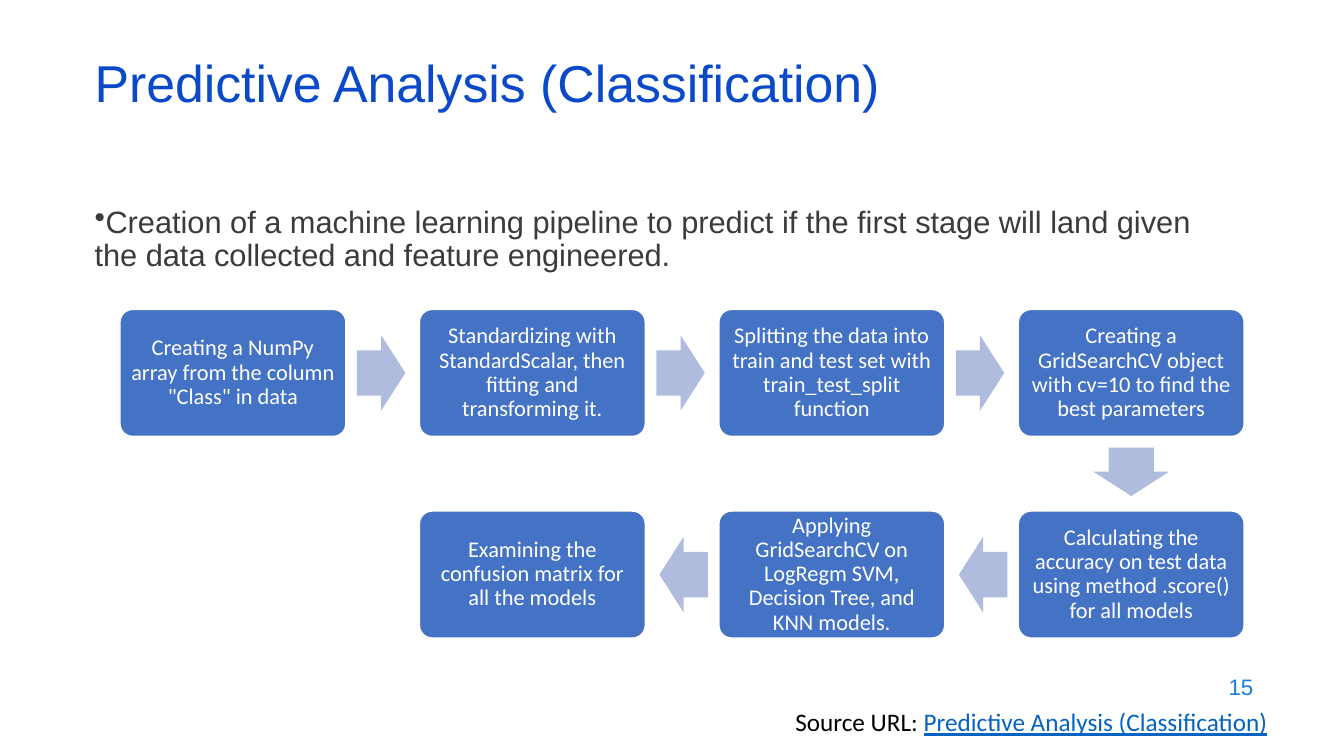
"""Build the predictive analysis slide with its seven-step process."""
from lxml import etree
from pptx import Presentation
from pptx.dml.color import RGBColor
from pptx.enum import shapes, text
from pptx.oxml import ns
from pptx.util import Inches, Pt

TITLE_BLUE = RGBColor(0x0B, 0x49, 0xCB)
NUMBER_BLUE = RGBColor(0x1C, 0x7D, 0xDB)
LINK_BLUE = RGBColor(0x05, 0x63, 0xC1)
STEP_BLUE = RGBColor(0x44, 0x72, 0xC4)
ARROW_BLUE = RGBColor(0xB0, 0xBC, 0xDE)
BODY_GREY = RGBColor(0x3B, 0x3B, 0x3B)
BLACK = RGBColor(0, 0, 0)
WHITE = RGBColor(0xFF, 0xFF, 0xFF)

STEP_WIDTH, STEP_HEIGHT = 2.24, 1.26
ARROW_WIDTH, ARROW_HEIGHT = 0.48, 0.75
FIRST_LEFT, FIRST_TOP = 1.19, 3.07
COLUMN_PITCH, ROW_PITCH = 2.97, 2.0
ARROW_OFFSETS = {0: (1.47, 0), 90: (0, 0.98), 180: (-1.47, 0)}

STEPS = [
    (0, 0, 'Creating a NumPy array from the column "Class" in data', 0),
    (1, 0, "Standardizing with StandardScalar, then fitting and transforming it.", 0),
    (2, 0, "Splitting the data into train and test set with train_test_split function", 0),
    (3, 0, "Creating a GridSearchCV object with cv=10 to find the best parameters", 90),
    (3, 1, "Calculating the accuracy on test data using method .score() for all models", 180),
    (2, 1, "Applying GridSearchCV on LogRegm SVM, Decision Tree, and KNN models.", 180),
    (1, 1, "Examining the confusion matrix for all the models", None),
]


def add_span(para, words, *, size, color, font="Arial", underline=None):
    """Append a formatted run to a paragraph."""
    span = para.add_run()
    span.text = words
    span.font.name = font
    span.font.size = Pt(size)
    span.font.color.rgb = color
    span.font.underline = underline


def add_text(page, words, left, top, width, height, *, anchor=text.MSO_ANCHOR.TOP,
             align=text.PP_ALIGN.LEFT, spacing=1.0, bullet=None, **style):
    """Add a wrapping text box and return its paragraph."""
    box = page.shapes.add_textbox(Inches(left), Inches(top), Inches(width), Inches(height))
    box.text_frame.word_wrap = True
    box.text_frame.vertical_anchor = anchor
    para = box.text_frame.paragraphs[0]
    para.alignment = align
    para.line_spacing = spacing
    if bullet:
        etree.SubElement(para._p.get_or_add_pPr(), ns.qn("a:buChar"), char=bullet)
    add_span(para, words, **style)
    return para


def add_block(page, kind, center_x, center_y, width, height, fill):
    """Add a flat preset shape around a centre point."""
    block = page.shapes.add_shape(kind, Inches(center_x - width / 2), Inches(center_y - height / 2),
                                  Inches(width), Inches(height))
    block.shadow.inherit = False
    block.fill.solid()
    block.fill.fore_color.rgb = fill
    return block


def add_step(page, words, center_x, center_y):
    """Add one rounded process step with its label."""
    step = add_block(page, shapes.MSO_SHAPE.ROUNDED_RECTANGLE, center_x, center_y,
                     STEP_WIDTH, STEP_HEIGHT, STEP_BLUE)
    step.adjustments[0] = 0.1
    step.line.color.rgb = WHITE
    step.line.width = Pt(1)
    frame = step.text_frame
    frame.word_wrap = True
    frame.vertical_anchor = text.MSO_ANCHOR.MIDDLE
    frame.margin_left = frame.margin_right = frame.margin_top = frame.margin_bottom = Inches(0.07)
    para = frame.paragraphs[0]
    para.alignment = text.PP_ALIGN.CENTER
    para.line_spacing = 0.9
    add_span(para, words, size=16, color=WHITE, font="Calibri")


def add_arrow(page, step_x, step_y, rotation):
    """Add the block arrow that leaves a step in the given direction."""
    shift_x, shift_y = ARROW_OFFSETS[rotation]
    arrow = add_block(page, shapes.MSO_SHAPE.RIGHT_ARROW, step_x + shift_x, step_y + shift_y,
                      ARROW_WIDTH, ARROW_HEIGHT, ARROW_BLUE)
    arrow.adjustments[0] = 0.6
    arrow.adjustments[1] = 0.5
    arrow.line.fill.background()
    arrow.rotation = rotation


def add_process(page):
    """Lay the steps and arrows out on their grid."""
    for column, row, words, rotation in STEPS:
        center_x = FIRST_LEFT + column * COLUMN_PITCH + STEP_WIDTH / 2
        center_y = FIRST_TOP + row * ROW_PITCH + STEP_HEIGHT / 2
        add_step(page, words, center_x, center_y)
        if rotation is not None:
            add_arrow(page, center_x, center_y, rotation)


def main():
    """Build and save the deck."""
    deck = Presentation()
    deck.slide_width, deck.slide_height = Inches(13.33), Inches(7.5)
    page = deck.slides.add_slide(deck.slide_layouts[6])
    middle = text.MSO_ANCHOR.MIDDLE
    add_text(page, "Predictive Analysis (Classification)", 0.84, 0.59, 11.5, 0.6,
             anchor=middle, spacing=0.7, size=37, color=TITLE_BLUE)
    add_text(page, "Creation of a machine learning pipeline to predict if the first stage "
             "will land given the data collected and feature engineered.",
             0.84, 2, 11.5, 0.9, spacing=0.9, bullet="•", size=22, color=BODY_GREY)
    add_process(page)
    add_text(page, "15", 9.53, 6.59, 3, 0.44, anchor=middle, align=text.PP_ALIGN.RIGHT,
             size=16, color=NUMBER_BLUE)
    source = add_text(page, "Source URL: ", 7.79, 6.96, 5.08, 0.4,
                      size=18, color=BLACK, font="Calibri")
    add_span(source, "Predictive Analysis (Classification)", size=18, color=LINK_BLUE,
             font="Calibri", underline=True)
    deck.save("out.pptx")


if __name__ == "__main__":
    main()
